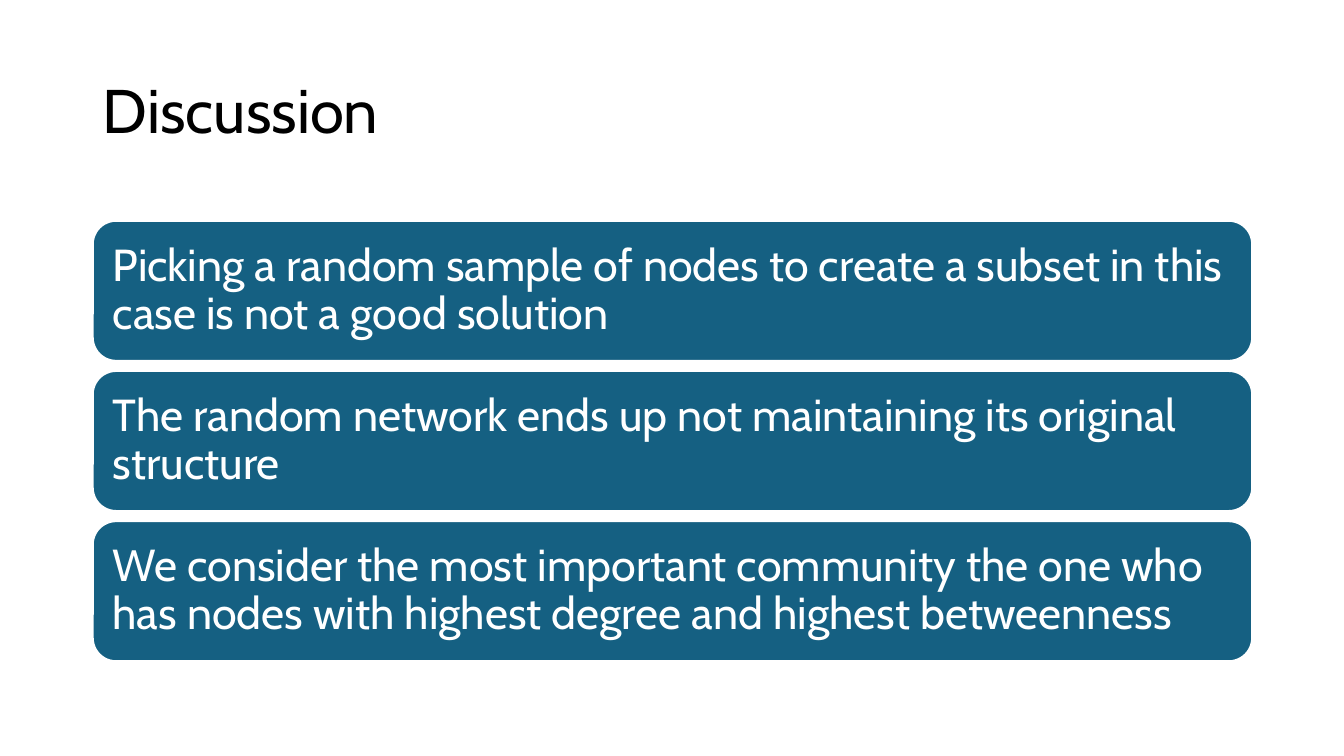
from dataclasses import dataclass

from pptx import Presentation
from pptx import util as u
from pptx.dml.color import RGBColor
from pptx.enum import shapes, text

WIDTH, HEIGHT = 13.33, 7.5
FONT = "Cabin"
BLACK, WHITE, BLUE = "000000", "FFFFFF", "156082"

# Grid in inches: one column, with a row for each statement
LEFT, COLUMN = 0.92, 11.5
FIRST_ROW, ROW_STEP, ROW_HEIGHT = 2.19, 1.49, 1.39


@dataclass(frozen=True)
class Statement:
    row: int
    wording: str

    @property
    def top(self) -> float:
        return FIRST_ROW + self.row * ROW_STEP


STATEMENTS = [
    Statement(0, "Picking a random sample of nodes to create a subset in this case is not a good solution"),
    Statement(1, "The random network ends up not maintaining its original structure"),
    Statement(2, "We consider the most important community the one who has nodes "
                 "with highest degree and highest betweenness"),
]


def colour(value: str) -> RGBColor:
    return RGBColor.from_string(value)


def write(box, wording: str, *, size: float, ink: str, inset: float) -> None:
    """Fill a shape with one left-aligned, vertically centred paragraph."""
    frame = box.text_frame
    frame.word_wrap = True
    frame.auto_size = text.MSO_AUTO_SIZE.NONE
    frame.vertical_anchor = text.MSO_ANCHOR.MIDDLE
    frame.margin_left = frame.margin_right = u.Inches(inset)
    frame.margin_top = frame.margin_bottom = u.Inches(inset)
    para = frame.paragraphs[0]
    para.alignment = text.PP_ALIGN.LEFT
    para.line_spacing = 0.9
    span = para.add_run()
    span.text = wording
    span.font.name = FONT
    span.font.size = u.Pt(size)
    span.font.color.rgb = colour(ink)


def add_title(page, wording: str) -> None:
    title = page.shapes.title
    title.left, title.top = u.Inches(LEFT), u.Inches(0.4)
    title.width, title.height = u.Inches(COLUMN), u.Inches(1.45)
    write(title, wording, size=44, ink=BLACK, inset=0.1)


def add_statement(page, statement: Statement) -> None:
    box = page.shapes.add_shape(
        shapes.MSO_SHAPE.ROUNDED_RECTANGLE,
        u.Inches(LEFT), u.Inches(statement.top), u.Inches(COLUMN), u.Inches(ROW_HEIGHT))
    box.shadow.inherit = False
    box.fill.solid()
    box.fill.fore_color.rgb = colour(BLUE)
    box.line.color.rgb = colour(WHITE)
    box.line.width = u.Pt(1.5)
    write(box, statement.wording, size=32, ink=WHITE, inset=0.13)


def main() -> None:
    deck = Presentation()
    deck.slide_width, deck.slide_height = u.Inches(WIDTH), u.Inches(HEIGHT)
    page = deck.slides.add_slide(deck.slide_layouts.get_by_name("Title Only"))

    # Heading
    add_title(page, "Discussion")

    # Stacked statements
    for statement in STATEMENTS:
        add_statement(page, statement)

    deck.save("out.pptx")


if __name__ == "__main__":
    main()
